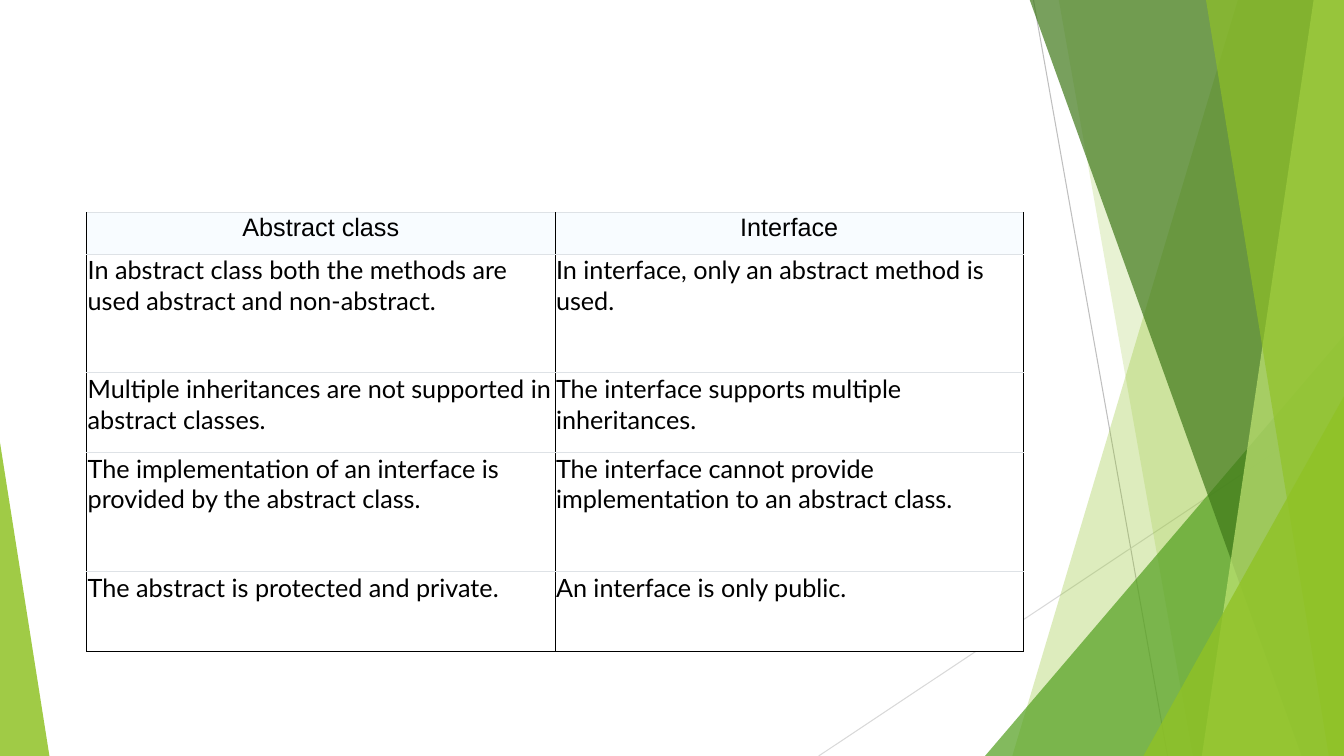
from lxml.etree import SubElement
from pptx import Presentation
from pptx.dml.color import RGBColor
from pptx.enum.shapes import MSO_CONNECTOR, MSO_SHAPE
from pptx.enum.text import PP_ALIGN
from pptx.oxml import parse_xml
from pptx.oxml.ns import nsdecls, qn
from pptx.util import Inches, Pt

WIDE, HIGH = 13.33, 7.5
COLOURS = {
    "lime": "90C226", "green": "54A021", "forest": "3F7819", "pale": "C0E474",
    "grey": "BFBFBF", "silver": "D9D9D9", "rule": "DEE2E6",
    "black": "000000", "white": "FFFFFF", "head": "F8FCFF",
}
ROWS = [
    ("Abstract class", "Interface"),
    ("In abstract class both the methods are used abstract and non-abstract.",
     "In interface, only an abstract method is used."),
    ("Multiple inheritances are not supported in abstract classes.",
     "The interface supports multiple inheritances."),
    ("The implementation of an interface is provided by the abstract class.",
     "The interface cannot provide implementation to an abstract class."),
    ("The abstract is protected and private.", "An interface is only public."),
]
HEIGHTS = [0.41, 1.18, 0.79, 1.18, 0.79]


def colour(name):
    return RGBColor.from_string(COLOURS[name])


def paint(shape, name, alpha):
    """Fill a shape with a see-through colour, alpha in percent."""
    shape.shadow.inherit = False
    shape.fill.solid()
    shape.fill.fore_color.rgb = colour(name)
    tint = shape._element.spPr.find(".//" + qn("a:srgbClr"))
    SubElement(tint, qn("a:alpha"), val=str(alpha * 1000))
    shape.line.fill.background()


def add_line(slide, start, end, name):
    line = slide.shapes.add_connector(
        MSO_CONNECTOR.STRAIGHT, *map(Inches, start + end))
    line.line.color.rgb = colour(name)
    line.line.width = Pt(0.75)
    SubElement(line._element.spPr, qn("a:effectLst"))


def add_band(slide, top, foot, name, alpha):
    """Draw a full-height band from a slanted left edge to the slide's right."""
    form = slide.shapes.build_freeform(Inches(top), Inches(-0.01))
    form.add_line_segments([
        (Inches(x), Inches(y))
        for x, y in ((WIDE, -0.01), (WIDE, HIGH), (foot, HIGH))])
    paint(form.convert_to_shape(), name, alpha)


def add_wedge(slide, left, top, width, apex, name, alpha):
    """Draw a triangle that stands on the slide's bottom edge."""
    wedge = slide.shapes.add_shape(
        MSO_SHAPE.ISOSCELES_TRIANGLE, Inches(left), Inches(top),
        Inches(width), Inches(HIGH - top))
    wedge.adjustments[0] = apex
    paint(wedge, name, alpha)


def add_backdrop(slide):
    add_line(slide, (10.25, 0), (11.58, HIGH), "grey")
    add_line(slide, (WIDE, 4.03), (8.12, HIGH), "silver")
    add_band(slide, 12.28, 10.04, "lime", 30)
    add_band(slide, 10.5, 11.83, "lime", 20)
    add_wedge(slide, 9.77, 3.33, 3.56, 1, "green", 72)
    add_band(slide, 10.21, 12.91, "forest", 70)
    add_band(slide, 13.03, 11.92, "pale", 70)
    add_band(slide, 11.96, 13.18, "lime", 65)
    add_wedge(slide, 11.34, 3.93, 1.99, 1, "lime", 80)
    add_wedge(slide, 0, 4.39, 0.49, 0, "lime", 85)


def set_edges(cell, foot):
    edges = {"lnL": "black", "lnR": "black", "lnT": "rule", "lnB": foot}
    for i, (tag, name) in enumerate(edges.items()):
        cell._tc.get_or_add_tcPr().insert(i, parse_xml(
            f'<a:{tag} {nsdecls("a")} w="{Pt(0.75)}"><a:solidFill>'
            f'<a:srgbClr val="{COLOURS[name]}"/></a:solidFill></a:{tag}>'))


def fill_cell(cell, text, head, last):
    cell.margin_left = cell.margin_right = Inches(0.01)
    cell.margin_top = cell.margin_bottom = Inches(0.01)
    cell.fill.solid()
    cell.fill.fore_color.rgb = colour("head" if head else "white")
    set_edges(cell, "black" if last else "rule")
    cell.text = text
    para = cell.text_frame.paragraphs[0]
    para.alignment = PP_ALIGN.CENTER if head else PP_ALIGN.LEFT
    para.font.name = "Arial" if head else "Lato"
    para.font.size = Pt(18)
    para.font.bold = False
    para.font.color.rgb = colour("black")


def add_grid(slide, left, top, width):
    table = slide.shapes.add_table(
        len(ROWS), 2, Inches(left), Inches(top),
        Inches(width), Inches(sum(HEIGHTS))).table
    table.horz_banding = False
    for r, (texts, height) in enumerate(zip(ROWS, HEIGHTS)):
        table.rows[r].height = Inches(height)
        for c, text in enumerate(texts):
            fill_cell(table.cell(r, c), text, r == 0, r == len(ROWS) - 1)


def main():
    deck = Presentation()
    deck.slide_width, deck.slide_height = Inches(WIDE), Inches(HIGH)
    slide = deck.slides.add_slide(deck.slide_layouts[6])
    add_backdrop(slide)
    add_grid(slide, 0.86, 2.11, 9.29)
    deck.save("out.pptx")


if __name__ == "__main__":
    main()
